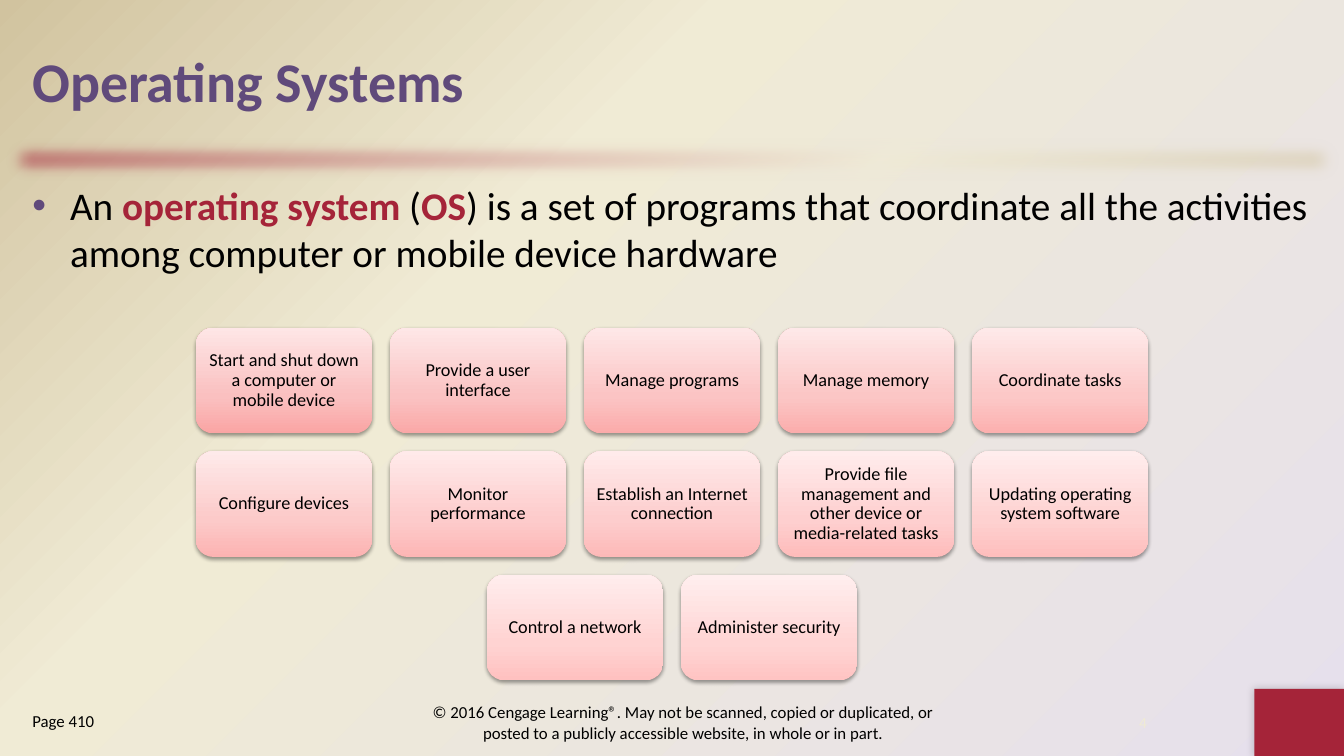
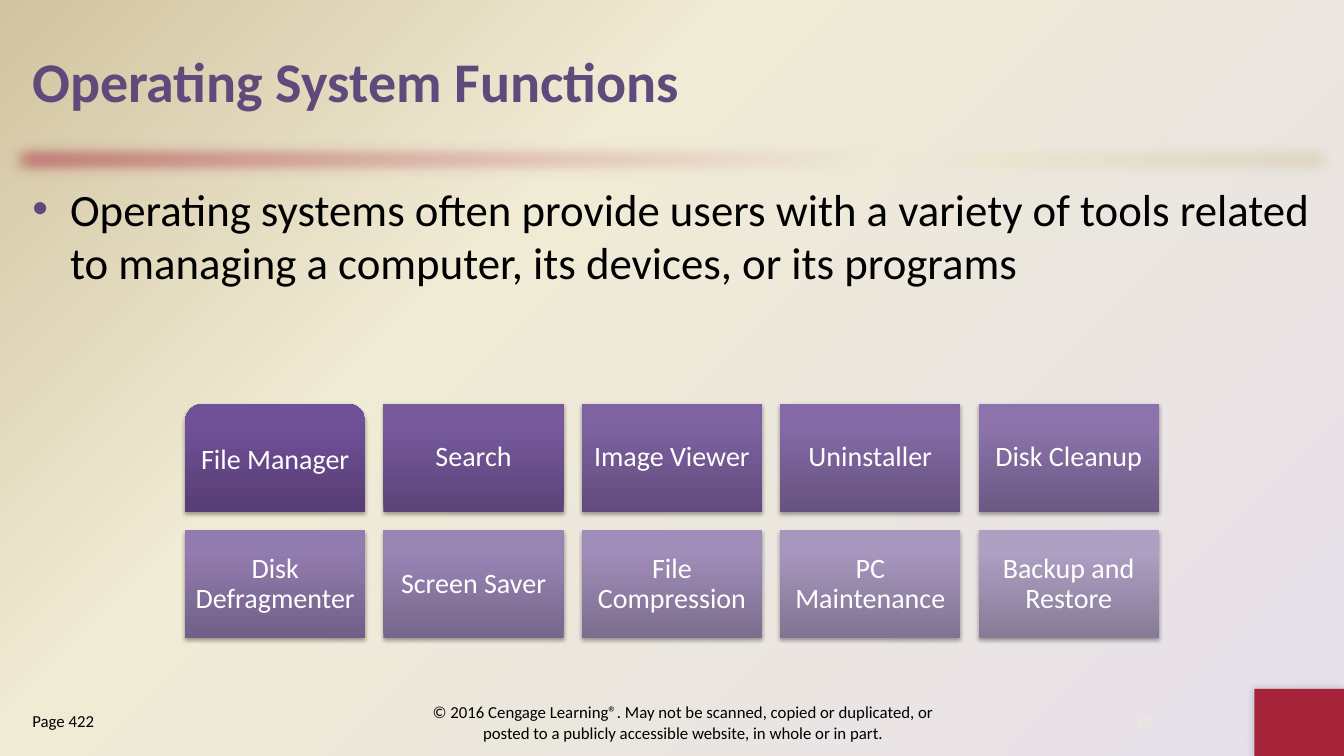
from lxml.etree import SubElement
from pptx import Presentation
from pptx.dml.color import RGBColor
from pptx.enum.shapes import MSO_SHAPE
from pptx.enum.text import MSO_ANCHOR, PP_ALIGN
from pptx.oxml.ns import qn
from pptx.util import Pt

SLIDE_WIDTH, SLIDE_HEIGHT = 960, 540
FONT = "Calibri"
COLORS = {
    "black": "000000", "white": "FFFFFF", "purple": "604A7B", "red": "A52439",
    "lavender": "E6E0EC", "cream": "F0EBD5", "tan": "D1C39F",
    "pink_low_first": "FAA5A4", "pink_low_last": "FFC4C3",
    "pink_middle_first": "FAC0C0", "pink_middle_last": "FFD5D4",
    "pink_high_first": "FEE6E6", "pink_high_last": "FFEEEE",
    "violet_low_first": "563D74", "violet_low_last": "867B96",
    "violet_middle_first": "705097", "violet_middle_last": "AE9FC3",
    "violet_high_first": "704F99", "violet_high_last": "AE9FC4",
}
COPYRIGHT = ("© 2016 Cengage Learning®. May not be scanned, copied or duplicated, or "
             "posted to a publicly accessible website, in whole or in part.")


def blend(first, last, share):
    """Return the hex colour that lies the given share of the way from first to last."""
    pairs = zip(bytes.fromhex(first), bytes.fromhex(last))
    return "".join(f"{round(a + (b - a) * share):02X}" for a, b in pairs)


def add_xml(parent, tag, **attributes):
    return SubElement(parent, qn(tag), {key: str(value) for key, value in attributes.items()})


def set_gradient(fill, owner, stops, angle=None):
    """Fill with (percent, hex) stops; without an angle they spread from the lower right corner."""
    fill.gradient()
    gradient = owner.find(".//" + qn("a:gradFill"))
    for child in list(gradient):
        gradient.remove(child)
    stop_list = add_xml(gradient, "a:gsLst")
    for percent, color in stops:
        stop = add_xml(stop_list, "a:gs", pos=percent * 1000)
        add_xml(stop, "a:srgbClr", val=color)
    if angle is None:
        circle = add_xml(gradient, "a:path", path="circle")
        add_xml(circle, "a:fillToRect", l=100000, t=100000)
    else:
        add_xml(gradient, "a:lin", ang=angle * 60000, scaled=0)


def add_shadow(shape, opacity, blur, distance, angle):
    effects = shape._element.spPr.find(qn("a:effectLst"))
    shadow = add_xml(effects, "a:outerShdw", blurRad=Pt(blur), dist=Pt(distance),
                     dir=angle * 60000, rotWithShape=0)
    color = add_xml(shadow, "a:srgbClr", val=COLORS["black"])
    add_xml(color, "a:alpha", val=opacity * 1000)


def add_bullet(paragraph):
    properties = paragraph._p.get_or_add_pPr()
    properties.set("marL", str(Pt(27)))
    properties.set("indent", str(-Pt(27)))
    color = add_xml(properties, "a:buClr")
    add_xml(color, "a:srgbClr", val=COLORS["purple"])
    add_xml(properties, "a:buFont", typeface="Arial")
    add_xml(properties, "a:buChar", char="•")


def write_text(shape, text, size=12, color="black", bold=False, align=PP_ALIGN.LEFT,
               anchor=MSO_ANCHOR.TOP, margin=None, line_spacing=None, bullet=False):
    """Write a string, or a list of (string, is key term) pairs, as one paragraph."""
    frame = shape.text_frame
    frame.word_wrap = True
    frame.vertical_anchor = anchor
    if margin is not None:
        frame.margin_left = frame.margin_right = Pt(margin)
        frame.margin_top = frame.margin_bottom = Pt(margin)
    paragraph = frame.paragraphs[0]
    paragraph.alignment = align
    if line_spacing:
        paragraph.line_spacing = line_spacing
    if bullet:
        add_bullet(paragraph)
    parts = [(text, False)] if isinstance(text, str) else text
    for part, is_key_term in parts:
        run = paragraph.add_run()
        run.text = part
        run.font.name = FONT
        run.font.size = Pt(size)
        run.font.bold = bold or is_key_term
        run.font.color.rgb = RGBColor.from_string(COLORS["red" if is_key_term else color])


class Deck:
    def __init__(self):
        self.presentation = Presentation()
        self.presentation.slide_width = Pt(SLIDE_WIDTH)
        self.presentation.slide_height = Pt(SLIDE_HEIGHT)
        self.slide = None
        master = self.presentation.slide_master
        set_gradient(master.background.fill, master._element,
                     [(0, COLORS["lavender"]), (65, COLORS["cream"]), (100, COLORS["tan"])])

    def add_slide(self, title, page, number):
        self.slide = self.presentation.slides.add_slide(self.presentation.slide_layouts[6])
        self.add_band()
        self.add_corner()
        self.add_text(16, 12, 928, 90, title, size=40, color="purple", bold=True,
                      anchor=MSO_ANCHOR.MIDDLE)
        self.add_text(288, 498, 400, 36, COPYRIGHT, align=PP_ALIGN.CENTER,
                      anchor=MSO_ANCHOR.MIDDLE)
        self.add_text(16, 504, 176, 36, page)
        self.add_text(780, 504, 73, 24, number, size=11, color="cream",
                      align=PP_ALIGN.CENTER, anchor=MSO_ANCHOR.MIDDLE)

    def add_shape(self, kind, left, top, width, height):
        shape = self.slide.shapes.add_shape(kind, Pt(left), Pt(top), Pt(width), Pt(height))
        shape.shadow.inherit = False
        shape.line.fill.background()
        return shape

    def add_band(self):
        band = self.add_shape(MSO_SHAPE.RECTANGLE, 0, 96, SLIDE_WIDTH, 36)
        properties = band._element.spPr
        set_gradient(band.fill, properties,
                     [(0, COLORS["red"]), (65, COLORS["cream"]), (100, COLORS["tan"])], 45)
        add_xml(properties.find(qn("a:effectLst")), "a:softEdge", rad=Pt(12.5))

    def add_corner(self):
        corner = self.add_shape(MSO_SHAPE.RECTANGLE, 896, 492, 64, 48)
        corner.fill.solid()
        corner.fill.fore_color.rgb = RGBColor.from_string(COLORS["red"])
        add_shadow(corner, 20, 6, 0, 225)

    def add_text(self, left, top, width, height, text, **style):
        box = self.slide.shapes.add_textbox(Pt(left), Pt(top), Pt(width), Pt(height))
        write_text(box, text, **style)

    def add_body(self, text, size):
        self.add_text(16, 126, 928, 366, text, size=size, bullet=True)

    def add_tiles(self, labels, top, width, family, middle, shadow, kind,
                  first_kind=None, columns=5, **style):
        """Lay labelled tiles out in centred rows, shading from the first to the last."""
        height, gap = width * 0.6, width * 0.1
        for index, label in enumerate(labels):
            row, column = divmod(index, columns)
            in_row = min(columns, len(labels) - row * columns)
            row_left = (SLIDE_WIDTH - in_row * width - (in_row - 1) * gap) / 2
            tile = self.add_shape(first_kind if first_kind and index == 0 else kind,
                                  row_left + column * (width + gap),
                                  top + row * (height + gap), width, height)
            share = index / (len(labels) - 1)
            stops = [(percent, blend(COLORS[f"{family}_{level}_first"],
                                     COLORS[f"{family}_{level}_last"], share))
                     for percent, level in ((0, "low"), (middle, "middle"), (100, "high"))]
            set_gradient(tile.fill, tile._element.spPr, stops, 270)
            add_shadow(tile, *shadow)
            write_text(tile, label, align=PP_ALIGN.CENTER, anchor=MSO_ANCHOR.MIDDLE,
                       line_spacing=0.9, **style)


def main():
    deck = Deck()

    deck.add_slide("Operating Systems", "Page 410", "4")
    deck.add_body([
        ("An ", False), ("operating system ", True), ("(", False), ("OS", True),
        (") is a set of programs that coordinate all the activities among computer "
         "or mobile device hardware", False),
    ], 28)
    deck.add_tiles([
        "Start and shut down a computer or mobile device", "Provide a user interface",
        "Manage programs", "Manage memory", "Coordinate tasks",
        "Configure devices", "Monitor performance", "Establish an Internet connection",
        "Provide file management and other device or media-related tasks",
        "Updating operating system software",
        "Control a network", "Administer security",
    ], top=234, width=126, family="pink", middle=35, shadow=(38, 3.1, 1.6, 90),
        kind=MSO_SHAPE.ROUNDED_RECTANGLE, size=13, margin=3.6)

    deck.add_slide("Operating System Functions", "Page 422", "25")
    deck.add_body("Operating systems often provide users with a variety of tools related "
                  "to managing a computer, its devices, or its programs", 32)
    deck.add_tiles([
        "File Manager", "Search", "Image Viewer", "Uninstaller", "Disk Cleanup",
        "Disk Defragmenter", "Screen Saver", "File Compression", "PC Maintenance",
        "Backup and Restore",
    ], top=288.4, width=128.8, family="violet", middle=80, shadow=(35, 3.1, 1.8, 90),
        kind=MSO_SHAPE.RECTANGLE, first_kind=MSO_SHAPE.ROUND_2_SAME_RECTANGLE,
        size=20, color="white", margin=5.76)

    deck.presentation.save("out.pptx")


if __name__ == "__main__":
    main()
